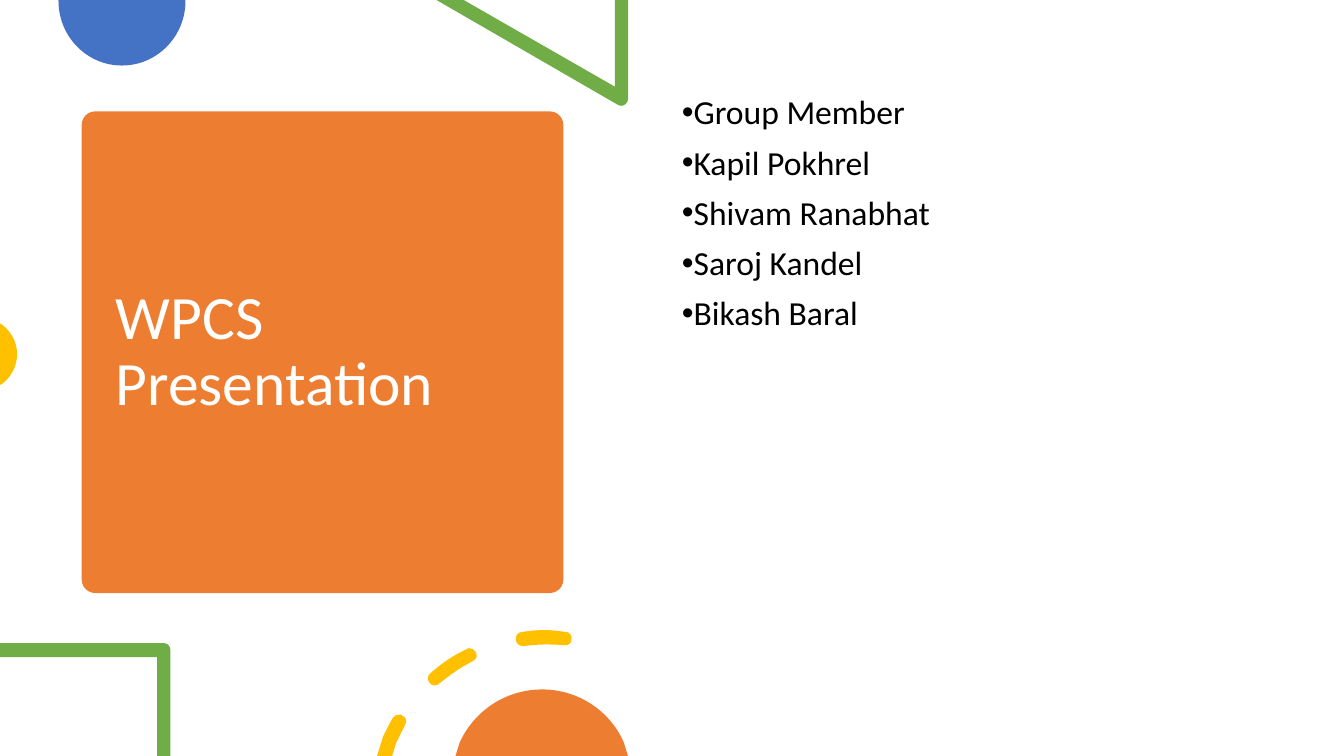
import lxml.etree
import pptx
import pptx.dml.color
import pptx.enum.shapes
import pptx.enum.text
import pptx.oxml.ns
import pptx.util

Pt = pptx.util.Pt
RGBColor = pptx.dml.color.RGBColor
qn = pptx.oxml.ns.qn

ORANGE = RGBColor(0xED, 0x7D, 0x31)
BLUE = RGBColor(0x44, 0x72, 0xC4)
GREEN = RGBColor(0x70, 0xAD, 0x47)
YELLOW = RGBColor(0xFF, 0xC0, 0x00)
WHITE = RGBColor(0xFF, 0xFF, 0xFF)
BLACK = RGBColor(0x00, 0x00, 0x00)

FONT = "Calibri"
MEMBERS = ["Group Member", "Kapil Pokhrel", "Shivam Ranabhat", "Saroj Kandel", "Bikash Baral"]

BLUE_DISC = [
    (132.5, 0), (41.8, 0), (41.8, 0.7),
    (41.8, 25.9, 61.9, 46.8, 87.1, 46.8), (112.3, 46.8, 132.5, 25.9, 132.5, 0.7),
]
GREEN_TRIANGLE = [
    (448.6, 0), (439.2, 0), (439.2, 61.9), (331.2, 0), (311.8, 0), (441.4, 74.9),
    (442.1, 75.6, 442.8, 75.6, 443.5, 75.6), (446.4, 75.6, 448.6, 73.4, 448.6, 70.6),
]
YELLOW_DISC = [
    (0, 231.1), (0, 275), (1.4, 274.3),
    (7.9, 269.3, 12.2, 262.1, 12.2, 252.7), (12.2, 244.1, 7.9, 236.9, 1.4, 231.8),
]
GREEN_FRAME = [
    (117.4, 459.4), (0, 459.4), (0, 469.4), (112.3, 469.4), (112.3, 540), (121.7, 540),
    (121.7, 464.4), (121.7, 461.5, 119.5, 459.4, 117.4, 459.4),
]
LOWER_DASH = [
    (285.8, 510.5), (283.7, 509.8, 282.2, 511.2, 280.8, 512.6),
    (277.9, 517, 275.8, 522, 273.6, 526.3), (269.3, 540), (280.1, 540), (283, 530.6),
    (285.1, 526.3, 287.3, 522, 289.4, 517.7), (290.9, 515.5, 290.2, 511.9, 287.3, 511.2),
    (287.3, 510.5, 286.6, 510.5, 285.8, 510.5),
]
MIDDLE_DASH = [
    (334.8, 463), (334.8, 463, 334.1, 463, 333.4, 463.7),
    (324, 468, 315.4, 473.8, 307.4, 481), (305.3, 482.4, 305.3, 486, 306.7, 487.4),
    (307.4, 488.9, 308.9, 489.6, 310.3, 489.6), (310.3, 489.6),
    (311.8, 489.6, 313.2, 488.9, 313.9, 488.2),
    (321.1, 482.4, 329, 476.6, 337.7, 472.3), (340.6, 470.9, 341.3, 468, 339.8, 465.8),
    (339.1, 463.7, 337, 463, 334.8, 463),
]
UPPER_DASH = [
    (388.8, 450), (383, 450, 378, 450.7, 373, 451.4),
    (370.1, 451.4, 367.9, 454.3, 368.6, 457.2), (368.6, 459.4, 370.8, 461.5, 373.7, 461.5),
    (373.7, 461.5, 373.7, 461.5, 374.4, 461.5), (383.8, 460.1, 393.1, 460.1, 403.2, 460.8),
    (405.4, 461.5, 408.2, 459.4, 408.2, 457.2), (409, 454.3, 406.8, 451.4, 404.6, 451.4),
    (404.6, 451.4, 403.9, 451.4, 403.9, 451.4), (398.9, 450.7, 393.8, 450, 388.8, 450),
]
ORANGE_DISC = [
    (387.4, 492.5), (360.7, 492.5, 338.4, 508.3, 328.3, 530.6), (325.4, 540), (448.6, 540),
    (445.7, 530.6), (436.3, 508.3, 413.3, 492.5, 387.4, 492.5),
]


def paint(shape, color):
    shape.shadow.inherit = False
    shape.fill.solid()
    shape.fill.fore_color.rgb = color
    shape.line.fill.background()


def bend(shape, segments):
    lines = list(shape._element.iter(qn("a:lnTo")))
    for line, segment in zip(lines, segments):
        if len(segment) == 2:
            continue
        line.tag = qn("a:cubicBezTo")
        for index in (0, 1):
            x, y = segment[2 * index:2 * index + 2]
            control = lxml.etree.Element(qn("a:pt"))
            control.set("x", str(Pt(x) - shape.left))
            control.set("y", str(Pt(y) - shape.top))
            line.insert(index, control)


def add_outline(slide, color, *outlines):
    contours = [[(Pt(s[-2]), Pt(s[-1])) for s in outline] for outline in outlines]
    builder = slide.shapes.build_freeform(*contours[0][0])
    for index, points in enumerate(contours):
        if index:
            builder.move_to(*points[0])
        builder.add_line_segments(points[1:], close=True)
    shape = builder.convert_to_shape()
    bend(shape, [segment for outline in outlines for segment in outline[1:]])
    paint(shape, color)


def add_card(slide, left, top, width, height):
    card = slide.shapes.add_shape(
        pptx.enum.shapes.MSO_SHAPE.ROUNDED_RECTANGLE, Pt(left), Pt(top), Pt(width), Pt(height)
    )
    card.adjustments[0] = 0.028
    paint(card, ORANGE)


def add_text(slide, left, top, width, height, text, size, color, anchor):
    text_box = slide.shapes.add_textbox(Pt(left), Pt(top), Pt(width), Pt(height))
    text_frame = text_box.text_frame
    text_frame.word_wrap = True
    text_frame.vertical_anchor = anchor
    text_frame.text = text
    for paragraph in text_frame.paragraphs:
        paragraph.line_spacing = 0.9
        for run in paragraph.runs:
            run.font.name = FONT
            run.font.size = Pt(size)
            run.font.color.rgb = color
    return text_frame


def add_bullet(paragraph):
    paragraph.space_before = Pt(10)
    properties = paragraph._p.get_or_add_pPr()
    properties.set("marL", "0")
    properties.set("indent", str(-Pt(18)))
    lxml.etree.SubElement(properties, qn("a:buFont")).set("typeface", "Arial")
    lxml.etree.SubElement(properties, qn("a:buChar")).set("char", "•")


def main():
    presentation = pptx.Presentation()
    presentation.slide_width = Pt(960)
    presentation.slide_height = Pt(540)
    slide = presentation.slides.add_slide(presentation.slide_layouts[6])
    anchors = pptx.enum.text.MSO_ANCHOR

    add_card(slide, 58.4, 79.6, 344, 344)
    add_text(slide, 75.6, 87.8, 310.3, 328.3, "WPCS Presentation", 44, WHITE, anchors.MIDDLE)
    add_outline(slide, BLUE, BLUE_DISC)
    add_outline(slide, GREEN, GREEN_TRIANGLE)
    add_outline(slide, YELLOW, YELLOW_DISC)
    members = add_text(
        slide, 480, 64.8, 414, 385.2, "\n".join(MEMBERS), 24, BLACK, anchors.TOP
    )
    for paragraph in members.paragraphs:
        add_bullet(paragraph)
    add_outline(slide, GREEN, GREEN_FRAME)
    add_outline(slide, YELLOW, LOWER_DASH, MIDDLE_DASH, UPPER_DASH)
    add_outline(slide, ORANGE, ORANGE_DISC)

    presentation.save("out.pptx")


if __name__ == "__main__":
    main()
